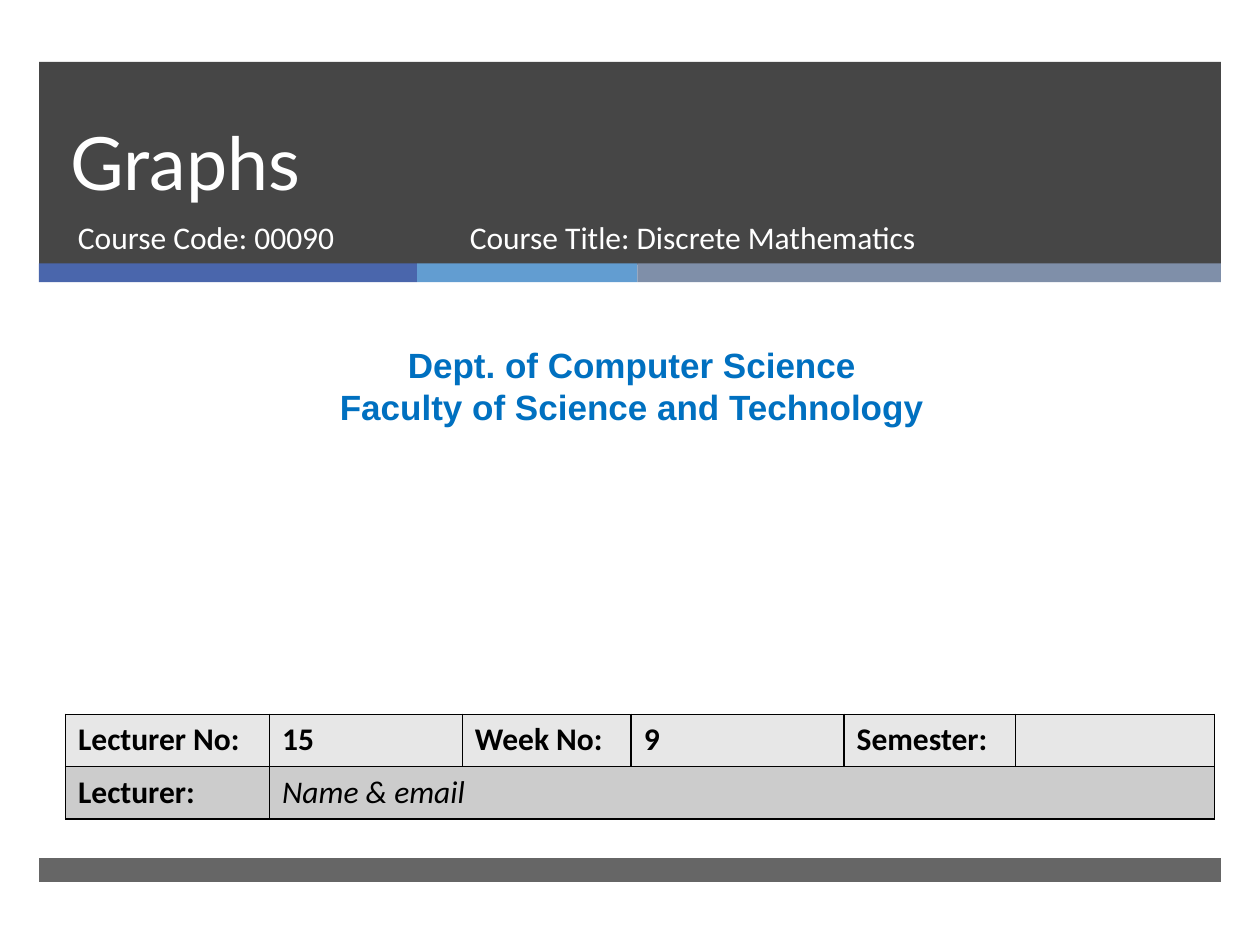
from lxml import etree
from pptx import Presentation
from pptx import util as u
from pptx.dml.color import RGBColor
from pptx.enum import shapes, text
from pptx.oxml.ns import qn


def rgb(value):
    return RGBColor.from_string(value)


class Deck:
    """Holds the style and the current slide."""
    font, dark, white, black = "Calibri", "262626", "FFFFFF", "000000"

    def __init__(self, prs):
        self.s = prs.slides.add_slide(prs.slide_layouts[6])

    def style(self, p, size=18, color=white, font=font, bold=False, italic=False):
        for r in p.runs:
            r.font.size, r.font.name = u.Pt(size), font
            r.font.bold, r.font.italic = bold, italic
            r.font.color.rgb = rgb(color)

    def bar(self, x, y, w, h, color, alpha=100):
        sp = self.s.shapes.add_shape(shapes.MSO_SHAPE.RECTANGLE,
                                     *map(u.Inches, (x, y, w, h)))
        sp.shadow.inherit = False
        sp.fill.solid()
        sp.fill.fore_color.rgb = rgb(color)
        sp.line.fill.background()
        if alpha < 100:
            clr = sp._element.spPr.find(".//" + qn("a:srgbClr"))
            etree.SubElement(clr, qn("a:alpha"), val=str(alpha * 1000))

    def label(self, x, y, w, h, words, align=text.PP_ALIGN.LEFT,
              anchor=text.MSO_ANCHOR.TOP, spacing=None, **style):
        tf = self.s.shapes.add_textbox(*map(u.Inches, (x, y, w, h))).text_frame
        tf.word_wrap = True
        tf.vertical_anchor = anchor
        tf.text = words
        for p in tf.paragraphs:
            p.alignment = align
            if spacing:
                p.line_spacing = u.Pt(spacing)
            self.style(p, **style)

    def border(self, cell):
        tc_pr = cell._tc.get_or_add_tcPr()
        for i, side in enumerate(("lnL", "lnR", "lnT", "lnB")):
            ln = etree.Element(qn("a:" + side), w=str(u.Pt(1)))
            fill = etree.SubElement(ln, qn("a:solidFill"))
            etree.SubElement(fill, qn("a:srgbClr"), val=self.black)
            tc_pr.insert(i, ln)

    def table(self, x, y, widths, row_height, rows, fills):
        size = (x, y, sum(widths), row_height * len(rows))
        tbl = self.s.shapes.add_table(len(rows), len(widths),
                                      *map(u.Inches, size)).table
        for col, w in zip(tbl.columns, widths):
            col.width = u.Inches(w)
        for i, (row, fill) in enumerate(zip(rows, fills)):
            for j in range(len(widths)):
                cell = tbl.cell(i, j)
                cell.fill.solid()
                cell.fill.fore_color.rgb = rgb(fill)
                self.border(cell)
                if j < len(row) and row[j]:
                    cell.text_frame.text = row[j]
                    self.style(cell.text_frame.paragraphs[0],
                               color=self.black, bold=True)
        return tbl


def main():
    prs = Presentation()
    prs.slide_width, prs.slide_height = u.Inches(10), u.Inches(7.5)
    deck = Deck(prs)

    # Header band, accent strip and footer
    left, width = 0.31, 9.38
    deck.bar(left, 0.49, width, 1.61, deck.dark, alpha=85)
    x = left
    for w, color in ((3, "4A66AC"), (1.75, "629DD1"), (4.63, "7F8FA9")):
        deck.bar(x, 2.09, w, 0.15, color)
        x += w
    deck.bar(left, 6.81, width, 0.19, deck.dark, alpha=70)

    # Title and course details
    deck.label(0.46, 0.49, 8.54, 1.19, "Graphs", anchor=text.MSO_ANCHOR.BOTTOM,
               spacing=46, size=42, font="Lato")
    deck.label(0.52, 1.68, 3.05, 0.53, "Course Code: 00090")
    deck.label(3.63, 1.68, 4.55, 0.53, "Course Title: Discrete Mathematics")

    # Department
    deck.label(0.08, 2.68, 9.87, 0.77,
               "Dept. of Computer Science\nFaculty of Science and Technology",
               align=text.PP_ALIGN.CENTER, size=20, color="0070C0",
               font="Arial", bold=True)

    # Lecture details
    tbl = deck.table(0.52, 5.67, (1.62, 1.53, 1.34, 1.69, 1.36, 1.58), 0.415,
                     (("Lecturer No:", "15", "Week No:", "9", "Semester:", ""),
                      ("Lecturer:", "Name & email")),
                     ("E7E7E7", "CCCCCC"))
    contact = tbl.cell(1, 1)
    contact.merge(tbl.cell(1, 5))
    deck.style(contact.text_frame.paragraphs[0], color=deck.black, italic=True)

    prs.save("out.pptx")


if __name__ == "__main__":
    main()
